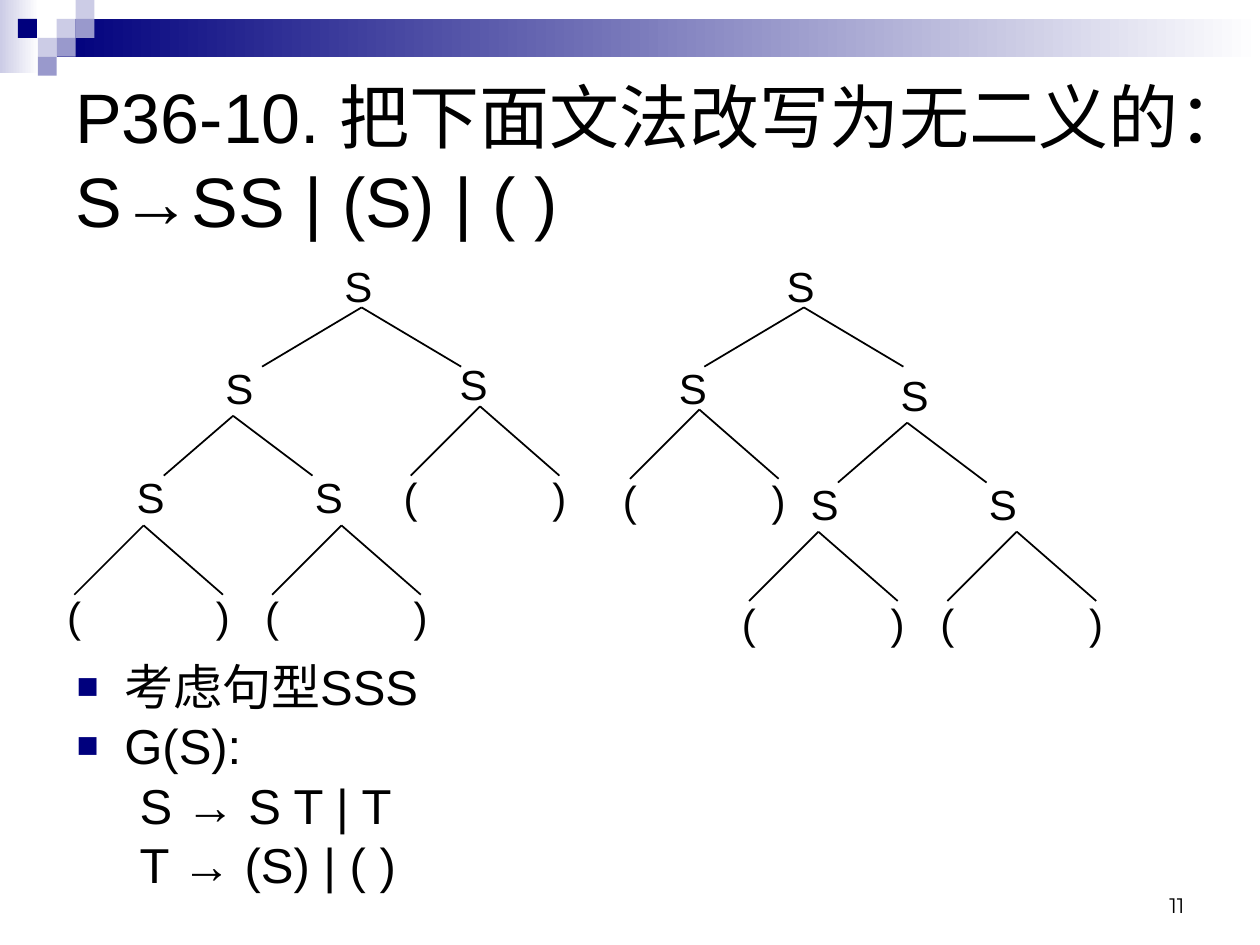
"""Build the slide that shows two parse trees of an ambiguous bracket grammar."""
from dataclasses import dataclass
from typing import NamedTuple, Optional

from lxml.etree import SubElement
from pptx import Presentation
from pptx.dml.color import RGBColor as RGB
from pptx.enum.shapes import MSO_CONNECTOR as CONN, MSO_SHAPE as SHAPE
from pptx.enum.text import MSO_ANCHOR as ANCHOR, MSO_AUTO_SIZE as AUTO, PP_ALIGN as ALIGN
from pptx.oxml.ns import qn
from pptx.util import Emu, Inches, Pt


@dataclass(frozen=True)
class Theme:
    ink: str = "000000"
    navy: str = "00007D"
    violet: str = "9999CC"
    lilac: str = "CCCCE6"
    white: str = "FFFFFF"
    font: str = "Arial"
    number_font: str = "Montserrat"
    title: int = 40
    body: int = 28
    node: int = 24
    number: int = 12


class Box(NamedTuple):
    col: float
    row: float
    cols: float
    rows: float


class Line(NamedTuple):
    text: str
    margin: float = 0
    hanging: float = 0
    bullet: Optional[str] = None


class Branch(NamedTuple):
    left: float
    right: float
    drop: float


class Label(NamedTuple):
    text: str
    col: float
    row: float


class Tree(NamedTuple):
    root: tuple
    children: tuple
    inner: tuple
    leaves: tuple


T = Theme()
WIDTH, HEIGHT = Inches(10), Inches(7.5)
COL, ROW = WIDTH / 100, HEIGHT / 75
TILE = 1.5
ROOT, INNER, LEAF = Branch(-7.9, 7.9, 4.7), Branch(-5.5, 6.3, 4.75), Branch(-5.5, 6.3, 5.5)
NODE_WIDTH = {"S": 4.2, "(": 3.1, ")": 3.1}

TILES = [
    (3, 1, T.lilac), (4, 0, T.lilac), (4, 1, T.violet), (2, 2, T.lilac),
    (0.95, 1, T.navy), (3, 2, T.violet), (2, 3, T.violet),
]
TREES = [
    Tree((28.7, 24.4), ((16.9, 28.3), (35.5, 28)), (18.5, 33),
         ((11.4, 41.7), (27.1, 41.7), (38.1, 32.25))),
    Tree((63.8, 24.4), ((52.9, 28.3), (70.5, 28.8)), (72, 33.55),
         ((64.95, 42.2), (80.7, 42.2), (55.5, 32.5))),
]
BODY = [
    Line("考虑句型SSS", 0.38, -0.38, "■"),
    Line("G(S):", 0.38, -0.38, "■"),
    Line("S → S T | T", 0.81, -0.31),
    Line("T → (S) | ( )", 0.81, -0.31),
]


def apply(target, values: dict) -> None:
    """Set each attribute named in values on the target."""
    for name, value in values.items():
        setattr(target, name, value)


def place(box: Box) -> tuple:
    """Turn grid columns and rows into slide lengths."""
    return tuple(Emu(round(n * unit)) for n, unit in zip(box, (COL, ROW, COL, ROW)))


def add_block(slide, box: Box, color: str, fade_to: Optional[str] = None) -> None:
    """Draw a borderless rectangle, plain or fading to the right."""
    s = slide.shapes.add_shape(SHAPE.RECTANGLE, *place(box))
    s.shadow.inherit = False
    s.line.fill.background()
    if fade_to is None:
        s.fill.solid()
        s.fill.fore_color.rgb = RGB.from_string(color)
        return
    s.fill.gradient()
    s.fill.gradient_angle = 0
    for stop, shade in zip(s.fill.gradient_stops, (color, fade_to)):
        stop.color.rgb = RGB.from_string(shade)


def set_indent(p, line: Line) -> None:
    """Give a paragraph its hanging indent and its bullet, if any."""
    pPr = p._p.get_or_add_pPr()
    pPr.set("marL", str(Inches(line.margin)))
    pPr.set("indent", str(Inches(line.hanging)))
    if line.bullet:
        SubElement(SubElement(pPr, qn("a:buClr")), qn("a:srgbClr"), val=T.navy)
        SubElement(pPr, qn("a:buSzPct"), val="75000")
        SubElement(pPr, qn("a:buFont"), typeface=T.font)
        SubElement(pPr, qn("a:buChar"), char=line.bullet)
    else:
        SubElement(pPr, qn("a:buNone"))


def add_text(slide, box: Box, lines: list, size: int, font: str = T.font,
             frame: Optional[dict] = None, para: Optional[dict] = None,
             gap: float = 0) -> None:
    """Write lines into a text box, with a gap between paragraphs."""
    tf = slide.shapes.add_textbox(*place(box)).text_frame
    apply(tf, {"word_wrap": True, **(frame or {})})
    for i, line in enumerate(lines):
        p = tf.paragraphs[0] if i == 0 else tf.add_paragraph()
        apply(p, {"space_before": Pt(gap if i else 0), **(para or {})})
        set_indent(p, line)
        r = p.add_run()
        r.text = line.text
        apply(r.font, {"name": font, "size": Pt(size)})
        r.font.color.rgb = RGB.from_string(T.ink)


def add_label(slide, label: Label) -> None:
    """Write one grammar symbol of a tree."""
    box = Box(label.col, label.row, NODE_WIDTH[label.text], 5)
    add_text(slide, box, [Line(label.text)], T.node,
             frame={"word_wrap": False, "auto_size": AUTO.SHAPE_TO_FIT_TEXT})


def add_branch(slide, apex: tuple, branch: Branch) -> None:
    """Draw the two edges that leave an apex."""
    col, row = apex
    for shift in (branch.left, branch.right):
        x1, y1, x2, y2 = place(Box(col, row, col + shift, row + branch.drop))
        c = slide.shapes.add_connector(CONN.STRAIGHT, x1, y1, x2, y2)
        c.line.width = Pt(1)
        c.line.color.rgb = RGB.from_string(T.ink)
        SubElement(c._element.spPr, qn("a:effectLst"))


def add_tree(slide, tree: Tree) -> None:
    """Draw a parse tree with its root, inner node and bracket leaves."""
    col, row = tree.root
    add_branch(slide, tree.root, ROOT)
    labels = [Label("S", col - 2.35, row - 4.2)]
    labels += [Label("S", *child) for child in tree.children]
    col, row = tree.inner
    add_branch(slide, tree.inner, INNER)
    labels += [Label("S", col + shift, row + INNER.drop - 0.8)
               for shift in (INNER.left - 3.15, INNER.right - 0.8)]
    for col, row in tree.leaves:
        add_branch(slide, (col, row), LEAF)
        labels += [Label(mark, col + shift - 1.55, row + LEAF.drop - 0.8)
                   for mark, shift in (("(", LEAF.left), (")", LEAF.right))]
    for label in labels:
        add_label(slide, label)


def main() -> None:
    """Assemble the slide and save it."""
    prs = Presentation()
    apply(prs, {"slide_width": WIDTH, "slide_height": HEIGHT})
    slide = prs.slides.add_slide(prs.slide_layouts[6])
    add_block(slide, Box(0, 0, 3.1, 5.8), T.lilac, T.white)
    add_block(slide, Box(4.5, 1.5, 95.5, 3), T.navy, T.white)
    for col, row, color in TILES:
        add_block(slide, Box(col * TILE, row * TILE, TILE, TILE), color)
    add_text(slide, Box(5, 5, 90, 15), [Line("P36-10. 把下面文法改写为无二义的：S→SS | (S) | ( )")],
             T.title, frame={"vertical_anchor": ANCHOR.MIDDLE})
    add_text(slide, Box(5.1, 52.5, 90, 19.2), BODY, T.body, para={"line_spacing": 0.8}, gap=7)
    for tree in TREES:
        add_tree(slide, tree)
    add_text(slide, Box(71.7, 68.3, 23.3, 5), [Line("11")], T.number, T.number_font,
             frame={"vertical_anchor": ANCHOR.BOTTOM}, para={"alignment": ALIGN.RIGHT})
    prs.save("out.pptx")


if __name__ == "__main__":
    main()
